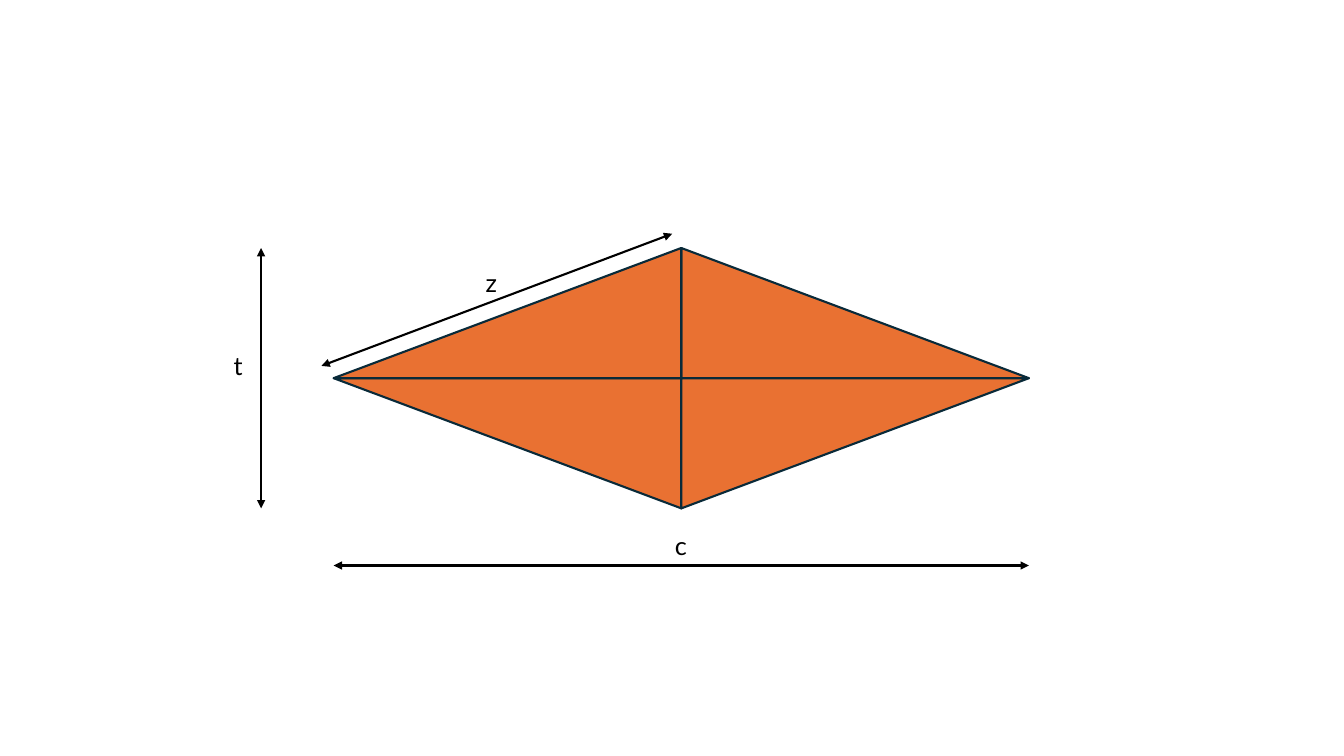
from dataclasses import dataclass

from lxml.etree import SubElement
from pptx import Presentation
from pptx.dml.color import RGBColor
from pptx.enum.shapes import MSO_CONNECTOR, MSO_SHAPE
from pptx.enum.text import MSO_AUTO_SIZE
from pptx.oxml.ns import qn
from pptx.util import Cm, Pt


@dataclass(frozen=True)
class Theme:
    fill: RGBColor = RGBColor(0xE9, 0x71, 0x32)
    outline: RGBColor = RGBColor(0x09, 0x2A, 0x39)
    ink: RGBColor = RGBColor(0, 0, 0)
    font: str = "Lato"
    text_size: Pt = Pt(18)
    line_width: Pt = Pt(1.5)


THEME = Theme()

# Rhombus geometry and dimensions, in centimetres
CENTER_X, CENTER_Y = 17.17, 9.53
HALF_WIDTH, HALF_HEIGHT = 8.76, 3.28
LEFT, RIGHT = CENTER_X - HALF_WIDTH, CENTER_X + HALF_WIDTH
TOP, BOTTOM = CENTER_Y - HALF_HEIGHT, CENTER_Y + HALF_HEIGHT
LABEL_HEIGHT = 1.02

# Quadrants: right side?, lower half?
QUADRANTS = [(True, False), (False, True), (True, True), (False, False)]

# Dimension arrows: start, end
ARROWS = [
    ((8.1, 9.22), (16.94, 5.89)),
    ((LEFT, 14.25), (RIGHT, 14.25)),
    ((6.58, BOTTOM), (6.58, TOP)),
]

# Dimension labels: text, left, top, width
LABELS = [
    ("z", 11.99, 6.6, 0.79),
    ("t", 5.64, 8.71, 0.71),
    ("c", 16.76, 13.23, 0.86),
]


def add_quadrant(page, is_right, is_lower):
    triangle = page.shapes.add_shape(
        MSO_SHAPE.RIGHT_TRIANGLE,
        Cm(CENTER_X if is_right else LEFT),
        Cm(CENTER_Y if is_lower else TOP),
        Cm(HALF_WIDTH),
        Cm(HALF_HEIGHT),
    )
    triangle.shadow.inherit = False
    triangle.fill.solid()
    triangle.fill.fore_color.rgb = THEME.fill
    triangle.line.color.rgb = THEME.outline
    triangle.line.width = THEME.line_width
    # Turn each right angle towards the center
    if is_lower:
        triangle.rotation = 180
    if is_right == is_lower:
        triangle._element.spPr.xfrm.set("flipH", "1")


def add_arrow(page, start, end):
    arrow = page.shapes.add_connector(
        MSO_CONNECTOR.STRAIGHT, *map(Cm, start + end)
    )
    arrow.line.color.rgb = THEME.ink
    arrow.line.width = THEME.line_width
    outline = arrow.line._get_or_add_ln()
    for tag in ("a:headEnd", "a:tailEnd"):
        SubElement(outline, qn(tag), type="triangle")
    SubElement(arrow._element.spPr, qn("a:effectLst"))


def add_label(page, text, left, top, width):
    box = page.shapes.add_textbox(Cm(left), Cm(top), Cm(width), Cm(LABEL_HEIGHT))
    box.text_frame.word_wrap = False
    box.text_frame.auto_size = MSO_AUTO_SIZE.SHAPE_TO_FIT_TEXT
    para = box.text_frame.paragraphs[0]
    span = para.add_run()
    span.text = text
    span.font.name = THEME.font
    span.font.size = THEME.text_size
    span.font.color.rgb = THEME.ink


def main():
    deck = Presentation()
    deck.slide_width, deck.slide_height = Cm(33.87), Cm(19.05)
    page = deck.slides.add_slide(deck.slide_layouts[6])

    # Rhombus
    for is_right, is_lower in QUADRANTS:
        add_quadrant(page, is_right, is_lower)

    # Dimensions
    for start, end in ARROWS:
        add_arrow(page, start, end)
    for label in LABELS:
        add_label(page, *label)

    deck.save("out.pptx")


if __name__ == "__main__":
    main()
